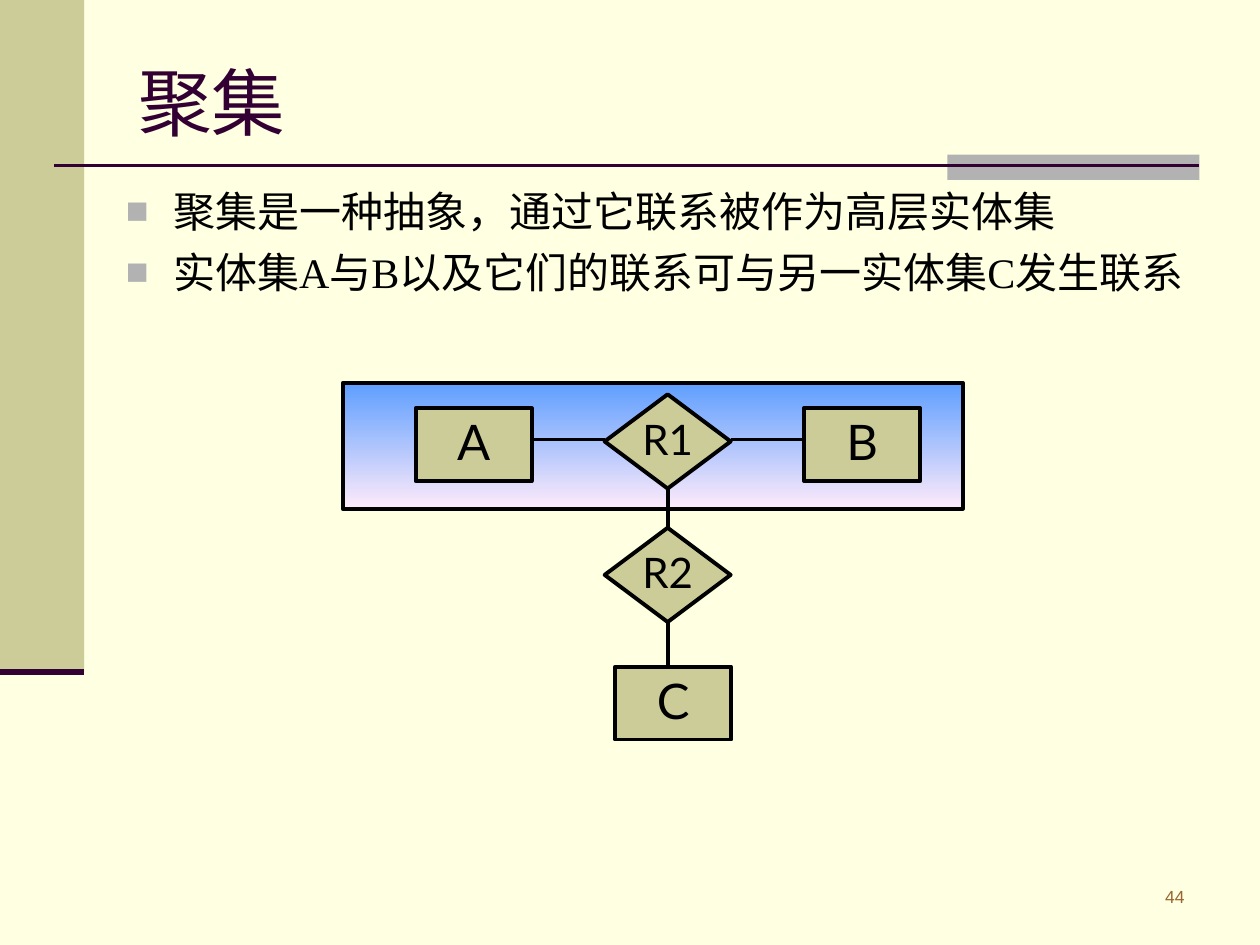
from lxml import etree
from pptx import Presentation
from pptx.dml.color import RGBColor
from pptx.enum.shapes import MSO_CONNECTOR, MSO_SHAPE
from pptx.enum.text import MSO_ANCHOR, PP_ALIGN
from pptx.oxml.ns import qn
from pptx.util import Cm, Pt

RECTANGLE, DIAMOND = MSO_SHAPE.RECTANGLE, MSO_SHAPE.DIAMOND
STRAIGHT = MSO_CONNECTOR.STRAIGHT
TOP, MIDDLE = MSO_ANCHOR.TOP, MSO_ANCHOR.MIDDLE
LEFT, CENTER, RIGHT = PP_ALIGN.LEFT, PP_ALIGN.CENTER, PP_ALIGN.RIGHT
TOP_SITE, BOTTOM_SITE = 0, 2

CREAM, KHAKI, GRAY = "FFFFE1", "CCCC99", "B2B2B2"
PLUM, BROWN, BLACK = "330033", "996633", "000000"
SKY, PINK = "5E9EFF", "FFEBFA"
SERIF = "Times New Roman"

BULLETS = [
    "聚集是一种抽象，通过它联系被作为高层实体集",
    "实体集A与B以及它们的联系可与另一实体集C发生联系",
]


def color(hex_string):
    return RGBColor.from_string(hex_string)


def add_run(paragraph, text, size, font, hex_color):
    run = paragraph.add_run()
    run.text = text
    run.font.size = Pt(size)
    run.font.name = font
    run.font.color.rgb = color(hex_color)


def add_box(slide, kind, left, top, width, height, fill=None, outline=None):
    shape = slide.shapes.add_shape(kind, Cm(left), Cm(top), Cm(width), Cm(height))
    shape.shadow.inherit = False
    if fill:
        shape.fill.solid()
        shape.fill.fore_color.rgb = color(fill)
    if outline:
        shape.line.color.rgb = color(outline)
        shape.line.width = Pt(2.25)
    else:
        shape.line.fill.background()
    return shape


def add_node(slide, kind, label, left, top, width, height, size):
    shape = add_box(slide, kind, left, top, width, height, KHAKI, BLACK)
    frame = shape.text_frame
    frame.word_wrap = False
    frame.vertical_anchor = MIDDLE
    paragraph = frame.paragraphs[0]
    paragraph.alignment = CENTER
    paragraph.line_spacing = 0.9
    add_run(paragraph, label, size, "Lato", BLACK)
    return shape


def add_entity(slide, label, left, top):
    return add_node(slide, RECTANGLE, label, left, top, 2.34, 1.47, 28)


def add_relationship(slide, label, left, top):
    return add_node(slide, DIAMOND, label, left, top, 2.54, 1.9, 24)


def add_line(slide, x1, y1, x2, y2, hex_color=BLACK, width=2.25):
    line = slide.shapes.add_connector(STRAIGHT, Cm(x1), Cm(y1), Cm(x2), Cm(y2))
    line.line.color.rgb = color(hex_color)
    line.line.width = Pt(width)
    etree.SubElement(line._element.spPr, qn("a:effectLst"))
    return line


def add_text_frame(slide, left, top, width, height, anchor=TOP):
    box = slide.shapes.add_textbox(Cm(left), Cm(top), Cm(width), Cm(height))
    frame = box.text_frame
    frame.word_wrap = True
    frame.vertical_anchor = anchor
    return frame


def add_label(slide, text, left, top, width, height, size, font, hex_color,
              alignment=LEFT, anchor=TOP):
    frame = add_text_frame(slide, left, top, width, height, anchor)
    paragraph = frame.paragraphs[0]
    paragraph.alignment = alignment
    add_run(paragraph, text, size, font, hex_color)


def set_bullet(paragraph):
    properties = paragraph._p.get_or_add_pPr()
    properties.set("marL", str(Cm(0.95)))
    properties.set("indent", str(-Cm(0.95)))
    bullet_color = etree.SubElement(properties, qn("a:buClr"))
    etree.SubElement(bullet_color, qn("a:srgbClr"), val=GRAY)
    etree.SubElement(properties, qn("a:buSzPct"), val="90000")
    etree.SubElement(properties, qn("a:buFont"), typeface="Arial")
    etree.SubElement(properties, qn("a:buChar"), char="■")


def add_bullets(slide):
    frame = add_text_frame(slide, 2.29, 3.61, 22.48, 8.46)
    for index, text in enumerate(BULLETS):
        paragraph = frame.add_paragraph() if index else frame.paragraphs[0]
        set_bullet(paragraph)
        if index:
            paragraph.space_before = Pt(6)
        add_run(paragraph, text, 24, SERIF, BLACK)


def add_decoration(slide):
    add_box(slide, RECTANGLE, 0, 0, 1.7, 13.54, KHAKI)
    add_box(slide, RECTANGLE, 19.1, 3.12, 5.08, 0.51, GRAY)
    add_line(slide, 1.09, 3.33, 24.18, 3.33, PLUM, 1.5)
    add_line(slide, 0, 13.54, 1.7, 13.54, PLUM, 3.5)


def add_diagram(slide):
    # Aggregated entity set
    aggregate = add_box(slide, RECTANGLE, 6.91, 7.72, 12.5, 2.54, outline=BLACK)
    aggregate.fill.gradient()
    aggregate.fill.gradient_angle = 270
    for stop, hex_color, position in zip(aggregate.fill.gradient_stops, (SKY, PINK), (0, 1)):
        stop.color.rgb = color(hex_color)
        stop.position = position

    # Entities and relationships
    add_entity(slide, "A", 8.38, 8.23)
    add_entity(slide, "B", 16.21, 8.23)
    first = add_relationship(slide, "R1", 12.19, 7.95)
    second = add_relationship(slide, "R2", 12.19, 10.64)
    add_entity(slide, "C", 12.4, 13.44)

    # Links
    add_line(slide, 10.72, 8.86, 12.19, 8.86)
    add_line(slide, 14.73, 8.86, 16.21, 8.86)
    between = add_line(slide, 13.46, 9.85, 13.46, 10.64)
    between.begin_connect(first, BOTTOM_SITE)
    between.end_connect(second, TOP_SITE)
    below = add_line(slide, 13.46, 12.54, 13.46, 13.44)
    below.begin_connect(second, BOTTOM_SITE)


def main():
    presentation = Presentation()
    presentation.slide_width = Cm(25.4)
    presentation.slide_height = Cm(19.05)
    slide = presentation.slides.add_slide(presentation.slide_layouts[6])
    slide.background.fill.solid()
    slide.background.fill.fore_color.rgb = color(CREAM)

    add_decoration(slide)
    add_label(slide, "44", 20.9, 17.73, 3.23, 0.89, 10, "Arial", BROWN, RIGHT)
    add_bullets(slide)
    add_label(slide, "聚集", 2.54, 0.76, 21.59, 2.57, 42, SERIF, PLUM, anchor=MIDDLE)
    add_diagram(slide)
    presentation.save("out.pptx")


if __name__ == "__main__":
    main()
